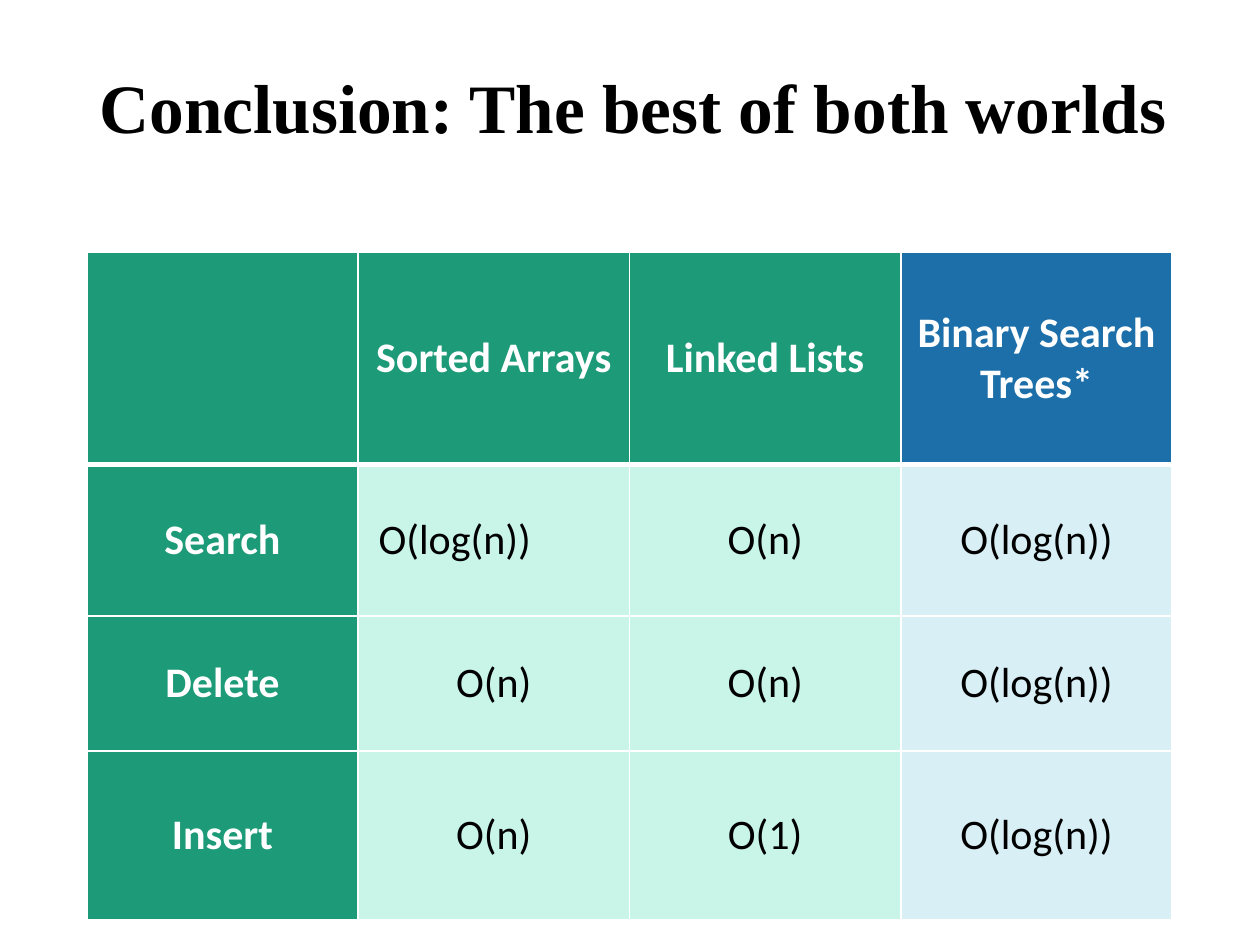
from lxml import etree
from pptx import Presentation
from pptx.dml.color import RGBColor
from pptx.enum.text import MSO_ANCHOR, MSO_AUTO_SIZE, PP_ALIGN
from pptx.oxml.ns import qn
from pptx.util import Cm, Pt

MIDDLE = MSO_ANCHOR.MIDDLE
NO_AUTOFIT = MSO_AUTO_SIZE.NONE
LEFT, CENTER = PP_ALIGN.LEFT, PP_ALIGN.CENTER

WHITE, BLACK = "FFFFFF", "000000"
GREEN, BLUE = "1D9A78", "1D6FA9"
PALE_GREEN, PALE_BLUE = "C8F5E8", "D7EFF5"


def color(value):
    return RGBColor.from_string(value)


def add_border(cell, side, points):
    line = etree.SubElement(cell._tc.get_or_add_tcPr(), qn(f"a:ln{side}"), w=str(Pt(points)))
    fill = etree.SubElement(line, qn("a:solidFill"))
    etree.SubElement(fill, qn("a:srgbClr"), val=WHITE)


deck = Presentation()
deck.slide_width, deck.slide_height = Cm(25.4), Cm(19.05)
page = deck.slides.add_slide(deck.slide_layouts[5])

title = page.shapes.title
title.left, title.top, title.width, title.height = Cm(1.75), Cm(1.02), Cm(23.11), Cm(2.44)
title.text_frame.auto_size = NO_AUTOFIT
title.text_frame.vertical_anchor = MIDDLE
para = title.text_frame.paragraphs[0]
para.alignment = LEFT
para.line_spacing = 0.9
span = para.add_run()
span.text = "Conclusion: The best of both worlds"
span.font.name = "Times New Roman"
span.font.size = Pt(39.6)
span.font.bold = True
span.font.color.rgb = color(BLACK)

costs = [
    ["", "Sorted Arrays", "Linked Lists", "Binary Search Trees*"],
    ["Search", "O(log(n))", "O(n)", "O(log(n))"],
    ["Delete", "O(n)", "O(n)", "O(log(n))"],
    ["Insert", "O(n)", "O(1)", "O(log(n))"],
]
row_heights = [4.29, 3.05, 2.72, 3.4]
table = page.shapes.add_table(4, 4, Cm(1.75), Cm(5.08), Cm(21.88), Cm(13.46)).table
table.first_col = True
for column in table.columns:
    column.width = Cm(5.47)

for row, (height, texts) in enumerate(zip(row_heights, costs)):
    table.rows[row].height = Cm(height)
    for col, text in enumerate(texts):
        cell = table.cell(row, col)
        heading = row == 0 or col == 0
        for side in "LRTB":
            thick = (row == 0 and side == "B") or (row == 1 and side == "T")
            add_border(cell, side, 3 if thick else 1)
        dark, pale = (BLUE, PALE_BLUE) if col == 3 else (GREEN, PALE_GREEN)
        cell.fill.solid()
        cell.fill.fore_color.rgb = color(dark if heading else pale)
        cell.vertical_anchor = MIDDLE
        if text:
            para = cell.text_frame.paragraphs[0]
            para.alignment = CENTER
            span = para.add_run()
            span.text = text
            span.font.name = "Calibri"
            span.font.size = Pt(24)
            span.font.bold = heading
            span.font.color.rgb = color(WHITE if heading else BLACK)

table.cell(1, 1).margin_right = Cm(1.83)

deck.save("out.pptx")
